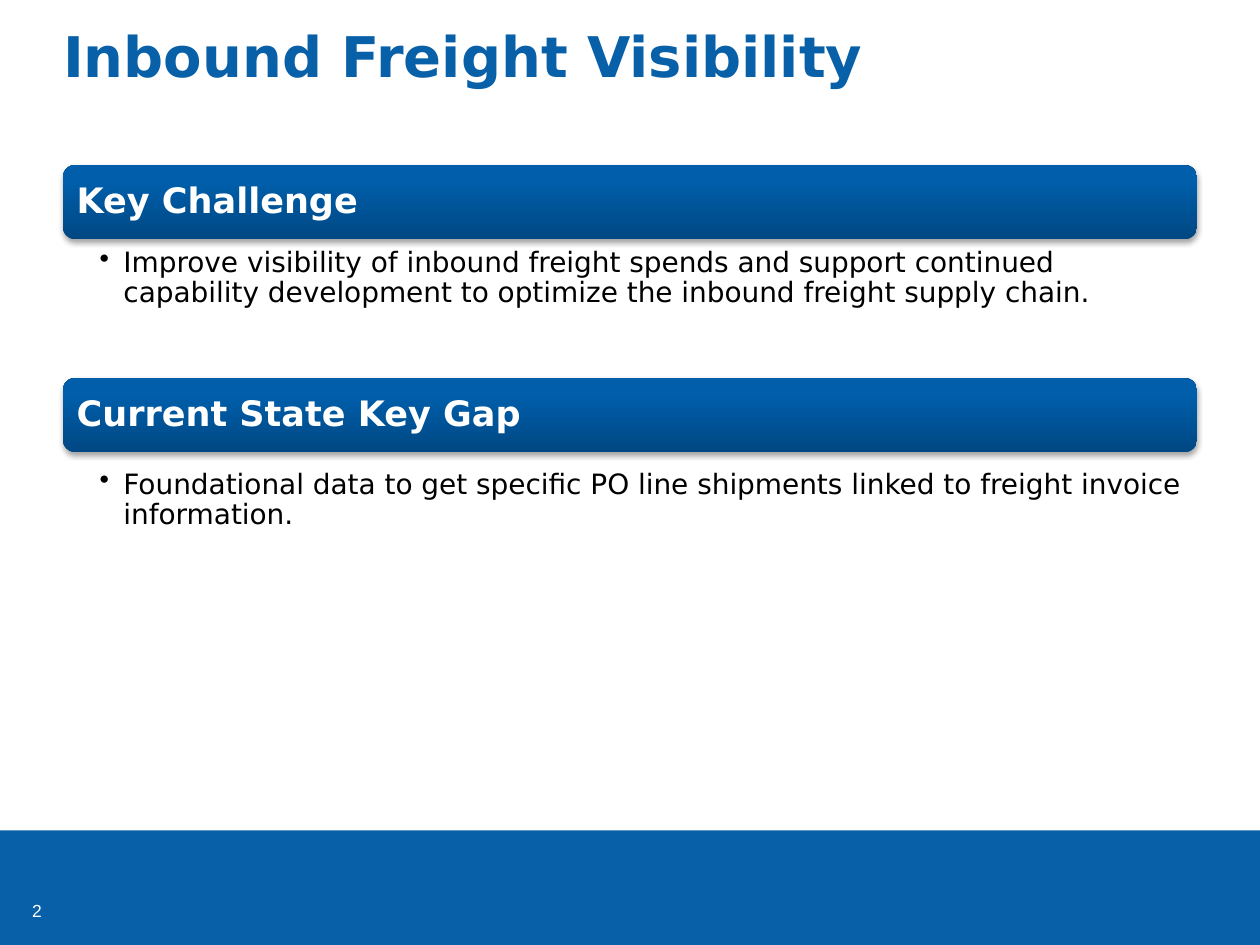
"""Build the inbound freight visibility slide."""
import pptx
import pptx.dml.color
import pptx.enum.shapes
import pptx.enum.text
import pptx.oxml
import pptx.oxml.ns
import pptx.util
from pptx.util import Inches

TITLE = "Inbound Freight Visibility"
PAGE_NUMBER = "2"
SECTIONS = [
    {"heading": "Key Challenge", "top": 1.31, "point_top": 1.95,
     "point": "Improve visibility of inbound freight spends and support continued "
              "capability development to optimize the inbound freight supply chain."},
    {"heading": "Current State Key Gap", "top": 3, "point_top": 3.71,
     "point": "Foundational data to get specific PO line shipments linked to "
              "freight invoice information."},
]
COLORS = {"brand": "0860A8", "bar_dark": "004883", "bar_light": "005EAB",
          "white": "FFFFFF", "black": "000000"}
FONT = "DejaVu Sans"
LEFT, WIDTH = 0.5, 9
BAR_HEIGHT, POINT_HEIGHT = 0.59, 1.18
INDENT = Inches(0.19)
SHADOW = (
    f'<a:effectLst {pptx.oxml.ns.nsdecls("a")}>'
    '<a:outerShdw blurRad="39370" dist="22860" dir="5400000" rotWithShape="0">'
    '<a:srgbClr val="000000"><a:alpha val="35000"/></a:srgbClr>'
    '</a:outerShdw></a:effectLst>'
)


def rgb(name):
    return pptx.dml.color.RGBColor.from_string(COLORS[name])


def write(frame, text, size, color, bold=False, font=FONT, insets=(0.1, 0.05, 0.1, 0.05),
          anchor="TOP", align="LEFT"):
    frame.word_wrap = True
    frame.auto_size = pptx.enum.text.MSO_AUTO_SIZE.NONE
    frame.vertical_anchor = getattr(pptx.enum.text.MSO_ANCHOR, anchor)
    (frame.margin_left, frame.margin_top,
     frame.margin_right, frame.margin_bottom) = map(Inches, insets)
    frame.text = text
    paragraph = frame.paragraphs[0]
    paragraph.alignment = getattr(pptx.enum.text.PP_ALIGN, align)
    run_font = paragraph.runs[0].font
    run_font.name, run_font.size, run_font.bold = font, pptx.util.Pt(size), bold
    run_font.color.rgb = rgb(color)
    return paragraph


def add_heading(slide, section):
    bar = slide.shapes.add_shape(
        pptx.enum.shapes.MSO_SHAPE.ROUNDED_RECTANGLE, Inches(LEFT),
        Inches(section["top"]), Inches(WIDTH), Inches(BAR_HEIGHT))
    bar.line.fill.background()
    bar.fill.gradient()
    bar.fill.gradient_angle = 90
    gradient = (("bar_dark", 0), ("bar_light", 0.8))
    for stop, (color, position) in zip(bar.fill.gradient_stops, gradient):
        stop.color.rgb = rgb(color)
        stop.position = position
    bar.element.spPr.append(pptx.oxml.parse_xml(SHADOW))
    heading = write(bar.text_frame, section["heading"], 20, "white", bold=True,
                    insets=(0.08,) * 4, anchor="MIDDLE")
    heading.line_spacing = 0.9


def add_point(slide, section):
    box = slide.shapes.add_textbox(Inches(LEFT), Inches(section["point_top"]),
                                   Inches(WIDTH), Inches(POINT_HEIGHT))
    point = write(box.text_frame, section["point"], 16, "black",
                  insets=(0.29, 0.02, 0.12, 0.02))
    point.level = 1
    point.line_spacing = 0.9
    properties = point._p.get_or_add_pPr()
    properties.set("marL", str(INDENT))
    properties.set("indent", str(-INDENT))
    properties.append(pptx.oxml.parse_xml(
        f'<a:buChar {pptx.oxml.ns.nsdecls("a")} char="•"/>'))


def add_footer(slide):
    band = slide.shapes.add_shape(pptx.enum.shapes.MSO_SHAPE.RECTANGLE, 0, Inches(6.59),
                                  Inches(10), Inches(0.91))
    band.shadow.inherit = False
    band.fill.solid()
    band.fill.fore_color.rgb = rgb("brand")
    band.line.fill.background()
    number = slide.shapes.add_textbox(0, Inches(6.86), Inches(0.43), Inches(0.5))
    write(number.text_frame, PAGE_NUMBER, 10, "white", font="Arial",
          anchor="BOTTOM", align="RIGHT")


def main():
    deck = pptx.Presentation()
    deck.slide_width, deck.slide_height = Inches(10), Inches(7.5)
    slide = deck.slides.add_slide(deck.slide_layouts.get_by_name("Title Only"))
    add_footer(slide)
    title = slide.shapes.title
    title.left, title.top = Inches(LEFT), Inches(0.17)
    title.width, title.height = Inches(9.01), Inches(0.97)
    write(title.text_frame, TITLE, 32, "brand", bold=True, insets=(0,) * 4)
    for section in SECTIONS:
        add_heading(slide, section)
        add_point(slide, section)
    deck.save("out.pptx")


if __name__ == "__main__":
    main()
